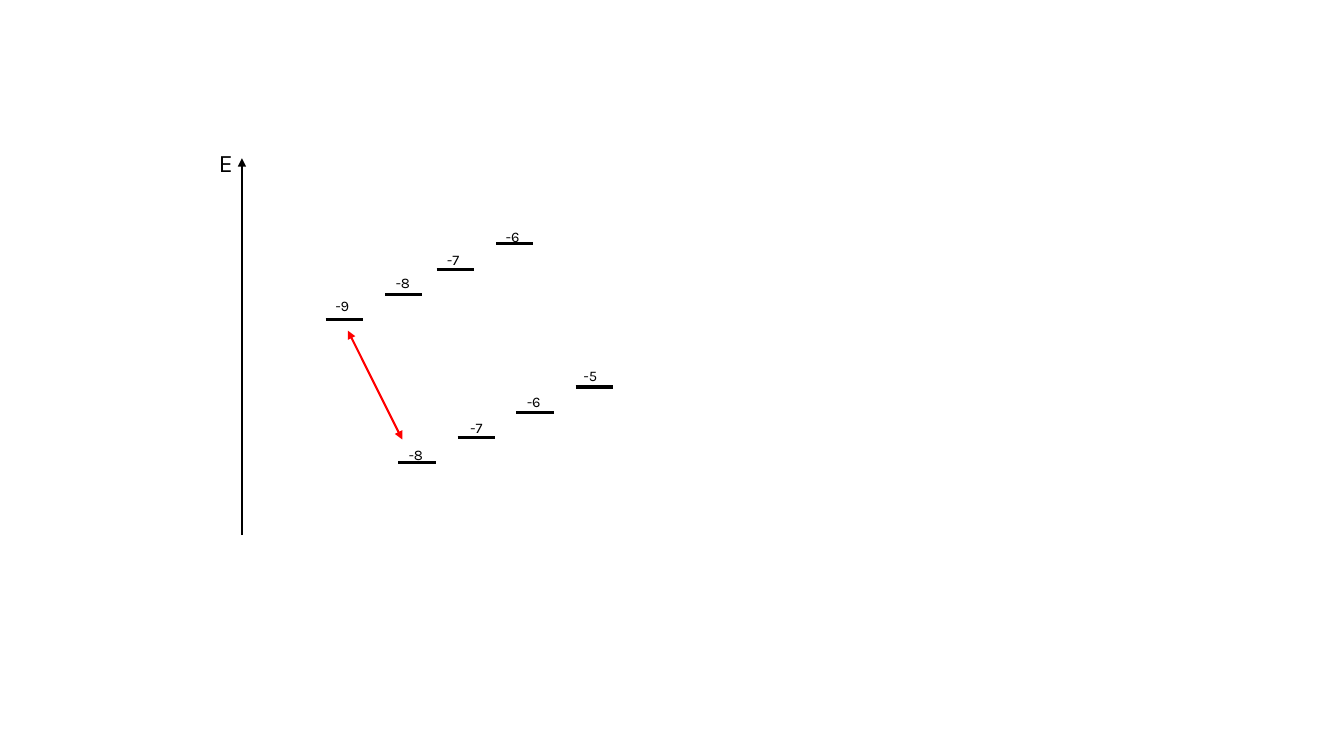
"""Build an energy diagram with two ladders of levels and one transition."""
import lxml.etree
import pptx
import pptx.dml.color
import pptx.enum.shapes
import pptx.enum.text
import pptx.oxml.ns
import pptx.util

BLACK, RED = "000000", "FF0000"
LEVEL_WIDTH = 0.37
LABEL_WIDTH, LABEL_HEIGHT = 0.81, 0.29

presentation = pptx.Presentation()
presentation.slide_width = pptx.util.Inches(13.33)
presentation.slide_height = pptx.util.Inches(7.5)
slide = presentation.slides.add_slide(presentation.slide_layouts[6])


def add_line(start, end, color, width, arrowheads=()):
    """Draw a straight line with optional triangle arrowheads."""
    line = slide.shapes.add_connector(
        pptx.enum.shapes.MSO_CONNECTOR.STRAIGHT,
        *[pptx.util.Inches(value) for value in (*start, *end)])
    line.line.color.rgb = pptx.dml.color.RGBColor.from_string(color)
    line.line.width = pptx.util.Pt(width)
    properties = line._element.spPr
    outline = properties.find(pptx.oxml.ns.qn("a:ln"))
    for arrowhead in arrowheads:
        lxml.etree.SubElement(outline, pptx.oxml.ns.qn(f"a:{arrowhead}"), type="triangle")
    lxml.etree.SubElement(properties, pptx.oxml.ns.qn("a:effectLst"))


def add_label(text, left, top, width, height, size, alignment):
    """Place one line of text in a text box."""
    box = slide.shapes.add_textbox(
        *[pptx.util.Inches(value) for value in (left, top, width, height)])
    box.text_frame.word_wrap = True
    box.text_frame.auto_size = pptx.enum.text.MSO_AUTO_SIZE.SHAPE_TO_FIT_TEXT
    paragraph = box.text_frame.paragraphs[0]
    paragraph.alignment = alignment
    run = paragraph.add_run()
    run.text = text
    for name, value in {"name": "Karla", "size": pptx.util.Pt(size)}.items():
        setattr(run.font, name, value)
    run.font.color.rgb = pptx.dml.color.RGBColor.from_string(BLACK)


add_line((2.4, 5.31), (2.4, 1.57), BLACK, 1.5, ["tailEnd"])
add_label("E", 2.07, 1.41, 0.21, 0.4, 18, pptx.enum.text.PP_ALIGN.LEFT)

ladders = [
    {"first": -9, "lefts": [3.23, 3.82, 4.33, 4.92], "bottom": 3.17, "rise": 0.25,
     "label_lefts": [2.99, 3.59, 4.09, 4.68], "label_top": 2.9, "label_rise": 0.23},
    {"first": -8, "lefts": [3.95, 4.54, 5.12, 5.71], "bottom": 4.59, "rise": 0.25,
     "label_lefts": [3.72, 4.32, 4.89, 5.45], "label_top": 4.37, "label_rise": 0.26},
]
for ladder in ladders:
    for step, (left, label_left) in enumerate(zip(ladder["lefts"], ladder["label_lefts"])):
        level = ladder["bottom"] - step * ladder["rise"]
        add_line((left, level), (left + LEVEL_WIDTH, level), BLACK, 2.25)
        add_label(str(ladder["first"] + step), label_left,
                  ladder["label_top"] - step * ladder["label_rise"],
                  LABEL_WIDTH, LABEL_HEIGHT, 10.5, pptx.enum.text.PP_ALIGN.CENTER)

add_line((3.45, 3.28), (3.99, 4.36), RED, 1.5, ["headEnd", "tailEnd"])

presentation.save("out.pptx")
